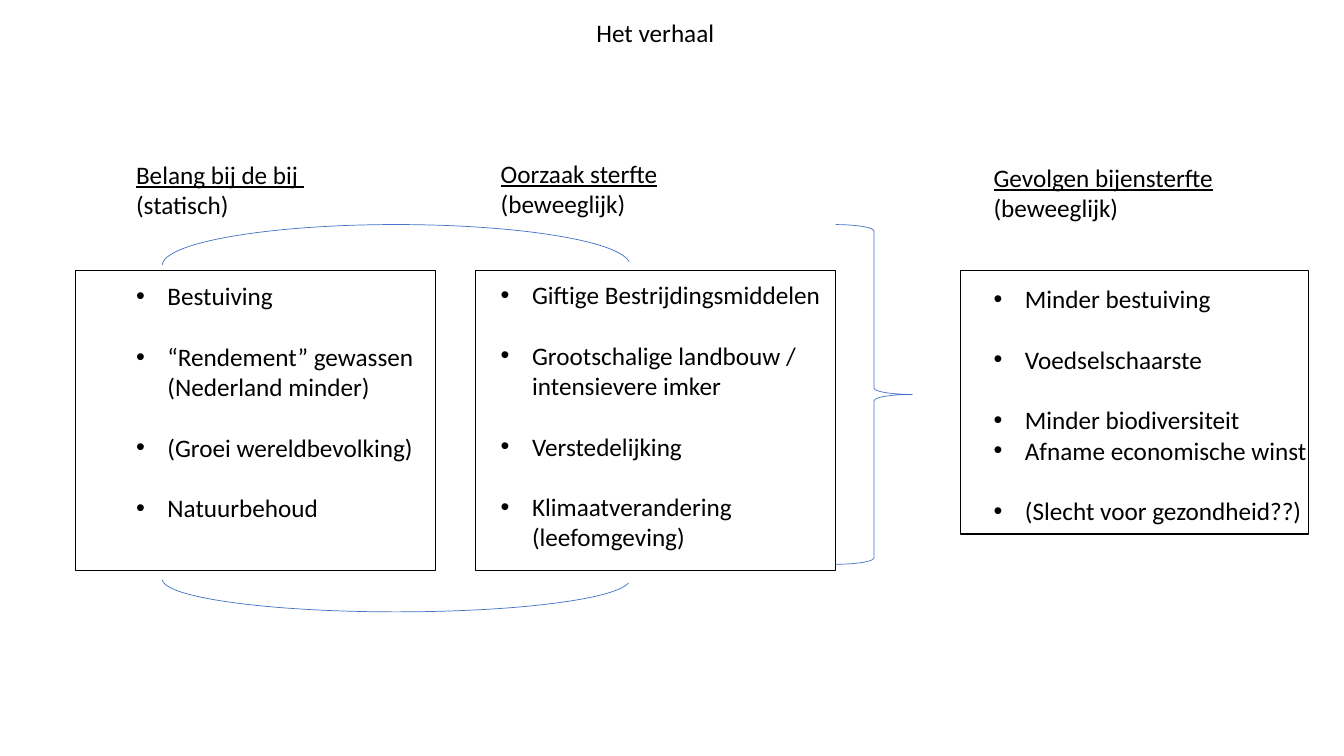
"""Build the slide "Het verhaal": three columns joined by arcs and a brace."""
from lxml.etree import SubElement
from pptx import Presentation
from pptx.dml.color import RGBColor
from pptx.enum.shapes import MSO_SHAPE
from pptx.enum.text import MSO_AUTO_SIZE, PP_ALIGN
from pptx.oxml.ns import qn
from pptx.util import Cm, Pt

BLACK = RGBColor(0x00, 0x00, 0x00)
WHITE = RGBColor(0xFF, 0xFF, 0xFF)
BLUE = RGBColor(0x44, 0x72, 0xC4)

LINE = 21.7
COL_W = 9.07
BOX_TOP = 6.81

COLUMNS = [
    dict(box=(1.9, BOX_TOP, COL_W, 7.57), text=(3.18, 3.89, COL_W, 11.79),
         heading="Belang bij de bij ", note="(statisch)",
         items=["Bestuiving", "“Rendement” gewassen\v(Nederland minder)",
                "(Groei wereldbevolking)", "Natuurbehoud"]),
    dict(box=(11.99, BOX_TOP, COL_W, 7.57), text=(12.37, 3.86, COL_W, 11.02),
         heading="Oorzaak sterfte", note="(beweeglijk)",
         items=["Giftige Bestrijdingsmiddelen",
                "Grootschalige landbouw /\vintensievere imker",
                "Verstedelijking", "Klimaatverandering (leefomgeving)"]),
    dict(box=(24.21, BOX_TOP, 8.76, 6.65), text=(24.79, 3.96, COL_W, 9.5),
         heading="Gevolgen bijensterfte", note="(beweeglijk)",
         items=["Minder bestuiving", "Voedselschaarste", "Minder biodiversiteit",
                "Afname economische winst", "(Slecht voor gezondheid??)"]),
]
TIGHT_ITEMS = {"Afname economische winst"}


def write(p, text, size=18, underline=False, align=PP_ALIGN.LEFT, bullet=False, before=0):
    """Fill a paragraph with formatted text; before counts empty lines above."""
    p.text = text
    p.alignment = align
    p.space_before = Pt(before * LINE)
    for r in p.runs:
        r.font.name = "Calibri"
        r.font.size = Pt(size)
        r.font.underline = underline
        r.font.color.rgb = BLACK
    if bullet:
        pPr = p._p.get_or_add_pPr()
        pPr.set("marL", str(Cm(0.79)))
        pPr.set("indent", str(-Cm(0.79)))
        SubElement(pPr, qn("a:buFont"), typeface="Arial")
        SubElement(pPr, qn("a:buChar"), char="•")


class Board:
    """Holds the current slide and its drawing style."""

    def __init__(self, slide):
        self.shapes = slide.shapes
        self.thin = Pt(0.5)

    def shape(self, kind, at, color, width, fill=None, adj=()):
        sp = self.shapes.add_shape(kind, *map(Cm, at))
        sp.shadow.inherit = False
        sp.line.color.rgb = color
        sp.line.width = width
        if fill is None:
            sp.fill.background()
        else:
            sp.fill.solid()
            sp.fill.fore_color.rgb = fill
        for i, value in enumerate(adj):
            sp.adjustments[i] = value

    def box(self, at):
        self.shape(MSO_SHAPE.RECTANGLE, at, BLACK, Pt(1), fill=WHITE)

    def arc(self, at, start, end):
        self.shape(MSO_SHAPE.ARC, at, BLUE, self.thin, adj=(start, end))

    def brace(self, at):
        self.shape(MSO_SHAPE.RIGHT_BRACE, at, BLUE, self.thin)

    def text(self, at, *paragraphs):
        tf = self.shapes.add_textbox(*map(Cm, at)).text_frame
        tf.word_wrap = True
        tf.auto_size = MSO_AUTO_SIZE.SHAPE_TO_FIT_TEXT
        for i, (text, style) in enumerate(paragraphs):
            write(tf.add_paragraph() if i else tf.paragraphs[0], text, **style)

    def column(self, box, text, heading, note, items):
        self.box(box)
        bullets = [(item, dict(bullet=True, before=0 if item in TIGHT_ITEMS else 1 if i else 2))
                   for i, item in enumerate(items)]
        self.text(text, (heading, dict(underline=True)), (note, {}), *bullets)


def main():
    prs = Presentation()
    prs.slide_width, prs.slide_height = Cm(33.87), Cm(19.05)
    board = Board(prs.slides.add_slide(prs.slide_layouts[6]))
    for column in COLUMNS:
        board.column(**column)
    board.arc((4.09, 13.77, 11.79, 1.65), 0.55, 107.91)
    board.arc((4.09, 5.66, 11.79, 2.06), 108.09, 215.45)
    board.brace((21.06, 5.66, 1.93, 8.56))
    board.text((13.34, 0.3, 6.35, 1.02), ("Het verhaal", dict(align=PP_ALIGN.CENTER)))
    prs.save("out.pptx")


if __name__ == "__main__":
    main()
